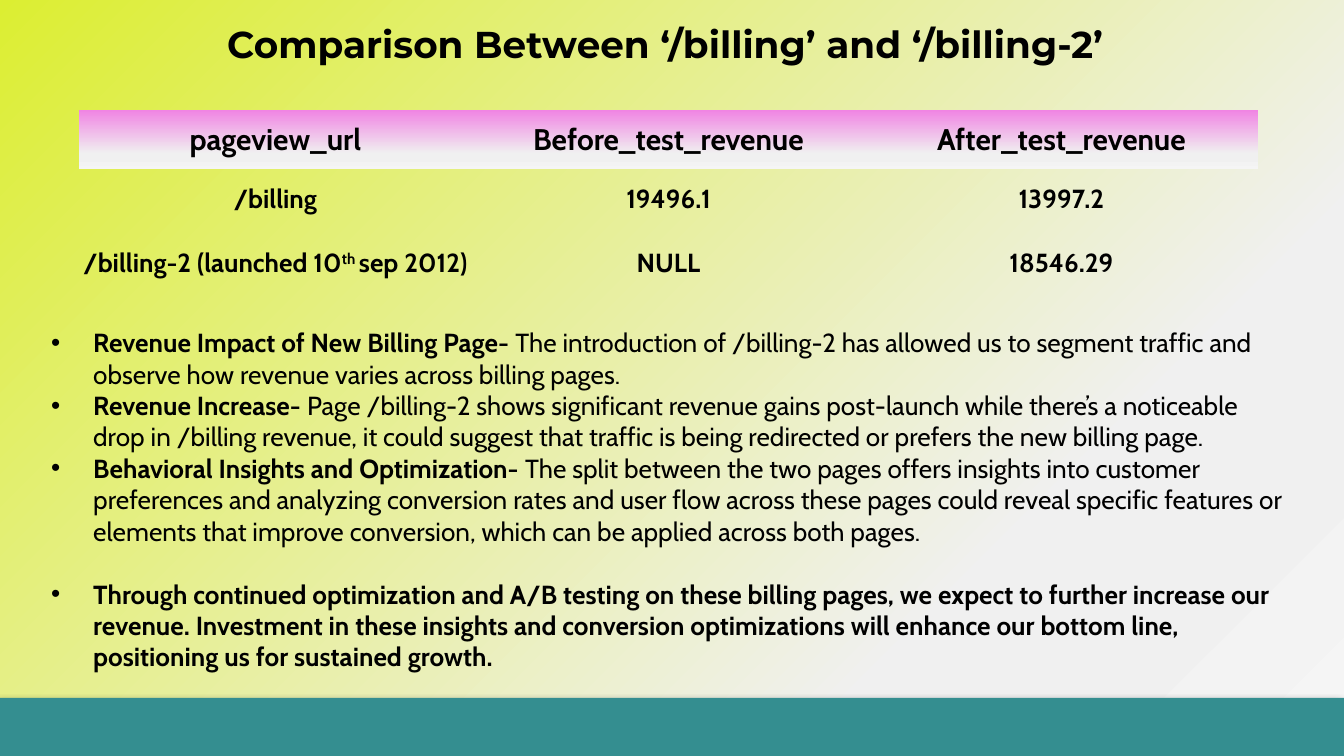
from lxml.etree import SubElement
from pptx import Presentation
from pptx.dml.color import RGBColor
from pptx.enum.shapes import MSO_SHAPE as Shape
from pptx.enum.text import MSO_ANCHOR as Anchor, MSO_AUTO_SIZE as AutoSize, PP_ALIGN as Align
from pptx.oxml import parse_xml
from pptx.oxml.ns import nsdecls, qn
from pptx.util import Emu, Pt

EMU_PER_PX = 914400 / 134.4
BLACK = "000000"
TEAL = "348E90"
LIME = "DCEE32"
PINK = "F084E3"

HEADER = ["pageview_url", "Before_test_revenue", "After_test_revenue"]
RECORDS = [
    ["/billing", "19496.1", "13997.2"],
    ["/billing-2 (launched 10^th ^sep 2012)", "NULL", "18546.29"],
]
ROW_HEIGHTS = [59, 59, 69]
COLUMN_WIDTH = 393
FINDINGS = [
    ("Revenue Impact of New Billing Page- ",
     "The introduction of /billing-2 has allowed us to segment traffic and observe how "
     "revenue varies across billing pages."),
    ("Revenue Increase- ",
     "Page /billing-2 shows significant revenue gains post-launch while there’s a noticeable "
     "drop in /billing revenue, it could suggest that traffic is being redirected or prefers "
     "the new billing page."),
    ("Behavioral Insights and Optimization- ",
     "The split between the two pages offers insights into customer preferences and analyzing "
     "conversion rates and user flow across these pages could reveal specific features or "
     "elements that improve conversion, which can be applied across both pages."),
]
CONCLUSION = (
    "Through continued optimization and A/B testing on these billing pages, we expect to "
    "further increase our revenue. Investment in these insights and conversion optimizations "
    "will enhance our bottom line, positioning us for sustained growth."
)


def px(length):
    """Turn pixels into EMU."""
    return Emu(round(length * EMU_PER_PX))


def rgb(value):
    """Turn a hex string into a colour."""
    return RGBColor.from_string(value)


def gradient(first, angle):
    """Return a gradient fill element from a colour to light grey."""
    stops = [(0, first), (74, "F0F0F0"), (83, "F0F0F0"), (100, "F5F5F5")]
    marks = "".join(
        f'<a:gs pos="{place * 1000}"><a:srgbClr val="{color}"/></a:gs>' for place, color in stops
    )
    return parse_xml(
        f'<a:gradFill rotWithShape="1" {nsdecls("a")}><a:gsLst>{marks}</a:gsLst>'
        f'<a:lin ang="{angle * 60000}" scaled="0"/></a:gradFill>'
    )


def write(para, text, font="Cabin", size=14, bold=True, color=BLACK, raised=False):
    """Add a formatted run to a paragraph."""
    span = para.add_run()
    span.text = text
    span.font.name = font
    span.font.size = Pt(size)
    span.font.bold = bold
    span.font.color.rgb = rgb(color)
    if raised:
        span.font._element.set("baseline", "30000")


def add_box(page, left, top, width, height):
    """Add a wrapping text box and return its text frame."""
    frame = page.shapes.add_textbox(px(left), px(top), px(width), px(height)).text_frame
    frame.word_wrap = True
    frame.auto_size = AutoSize.SHAPE_TO_FIT_TEXT
    return frame


def add_bullet(para, indent=42):
    """Give a paragraph a hanging black bullet."""
    props = para._p.get_or_add_pPr()
    props.set("marL", str(px(indent)))
    props.set("indent", str(-px(indent)))
    SubElement(SubElement(props, qn("a:buClr")), qn("a:srgbClr")).set("val", BLACK)
    SubElement(props, qn("a:buFont")).set("typeface", "Arial")
    SubElement(props, qn("a:buChar")).set("char", "•")


def paint_background(page):
    """Fill the page with a diagonal gradient."""
    page.background.fill.solid()
    props = page.background._cSld.bg.bgPr
    props.replace(props[0], gradient(LIME, 45))


def add_footer_bar(page):
    """Add the teal bar with its soft shadow."""
    bar = page.shapes.add_shape(Shape.RECTANGLE, px(0), px(698), px(1344), px(58))
    bar.fill.solid()
    bar.fill.fore_color.rgb = rgb(TEAL)
    bar.line.fill.background()
    bar._element.spPr.append(parse_xml(
        f'<a:effectLst {nsdecls("a")}><a:outerShdw blurRad="{Pt(4)}" dist="{Pt(3)}" '
        f'dir="{135 * 60000}"><a:srgbClr val="{BLACK}"><a:alpha val="40000"/></a:srgbClr>'
        '</a:outerShdw></a:effectLst>'
    ))


def fill_cell(cell, text, header):
    """Write a centred cell, raising any text between carets."""
    cell.vertical_anchor = Anchor.MIDDLE
    cell.margin_left = cell.margin_right = cell.margin_top = px(1)
    cell.margin_bottom = 0
    para = cell.text_frame.paragraphs[0]
    para.alignment = Align.CENTER
    for index, part in enumerate(text.split("^")):
        write(para, part, size=16 if header else 14, raised=index % 2 == 1)
    props = cell._tc.get_or_add_tcPr()
    for side in ("lnL", "lnR", "lnT", "lnB"):
        SubElement(SubElement(props, qn(f"a:{side}")), qn("a:noFill"))
    if header:
        props.append(gradient(PINK, 90))
    else:
        cell.fill.background()


def add_revenue_table(page):
    """Add the table of revenue before and after the test."""
    rows = [HEADER] + RECORDS
    table = page.shapes.add_table(
        len(rows), len(HEADER), px(79), px(110),
        px(COLUMN_WIDTH * len(HEADER)), px(sum(ROW_HEIGHTS)),
    ).table
    table.horz_banding = False
    for column in table.columns:
        column.width = px(COLUMN_WIDTH)
    for index, (texts, height) in enumerate(zip(rows, ROW_HEIGHTS)):
        table.rows[index].height = px(height)
        for place, text in enumerate(texts):
            fill_cell(table.cell(index, place), text, header=index == 0)


def add_findings(page):
    """Add the bulleted findings and the conclusion."""
    frame = add_box(page, 38, 320, 1269, 362)
    for index, (lead, detail) in enumerate(FINDINGS):
        para = frame.add_paragraph() if index else frame.paragraphs[0]
        add_bullet(para)
        write(para, lead)
        write(para, detail, bold=False)
    para = frame.add_paragraph()
    para.space_before = Pt(17)
    add_bullet(para)
    write(para, CONCLUSION)


def main():
    """Build the slide and save it."""
    deck = Presentation()
    deck.slide_width, deck.slide_height = px(1344), px(756)
    page = deck.slides.add_slide(deck.slide_layouts[6])
    paint_background(page)
    add_footer_bar(page)
    title = add_box(page, 214, 15, 1058, 59)
    write(title.paragraphs[0], "Comparison Between ‘/billing’ and ‘/billing-2’",
          font="Montserrat", size=20)
    add_revenue_table(page)
    add_findings(page)
    deck.save("out.pptx")


if __name__ == "__main__":
    main()
